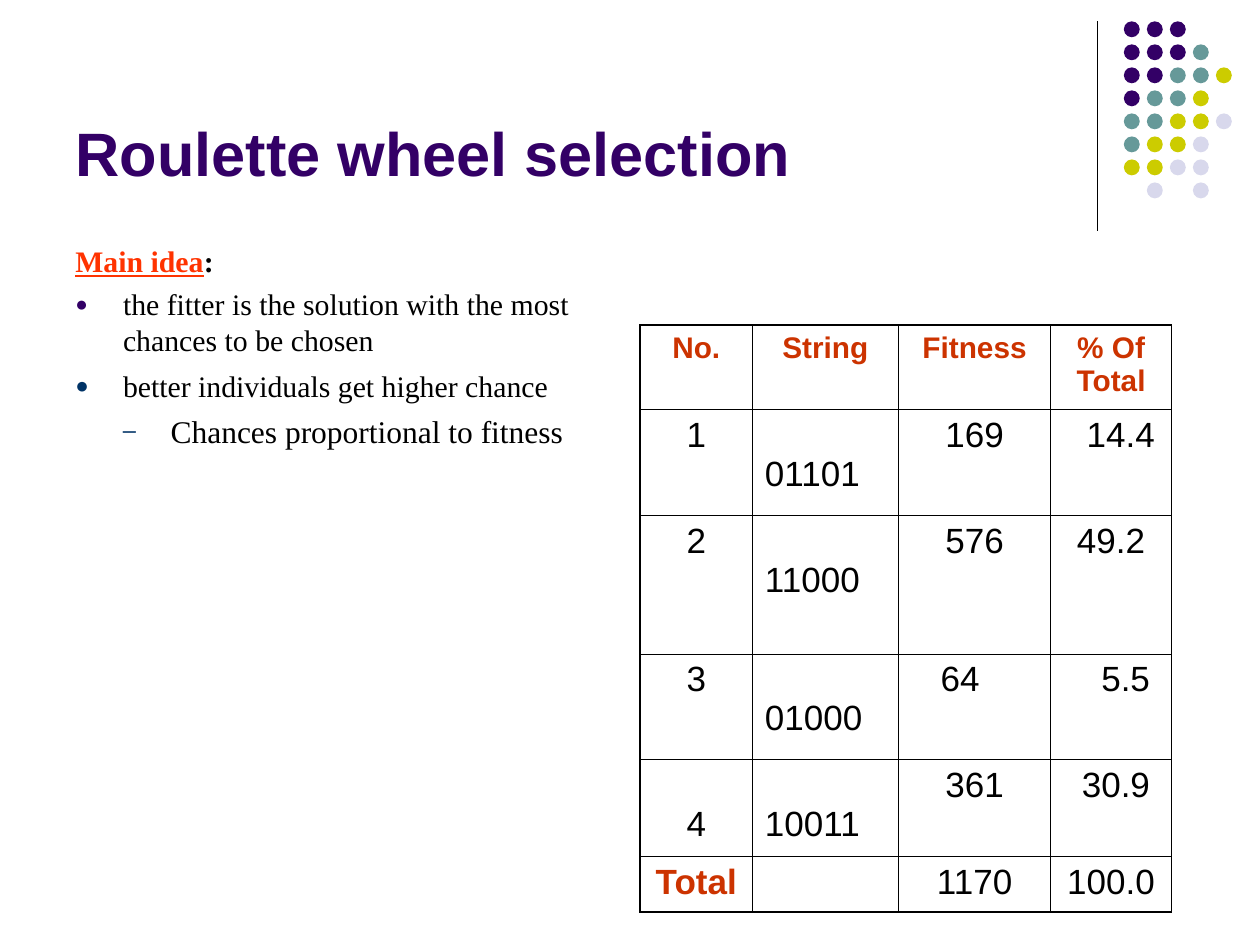
import dataclasses
import typing

import lxml.etree
import pptx
import pptx.dml.color
import pptx.enum.shapes
import pptx.enum.text
import pptx.oxml.ns
import pptx.util

Pt = pptx.util.Pt
qn = pptx.oxml.ns.qn
ALIGN = pptx.enum.text.PP_ALIGN
ANCHOR = pptx.enum.text.MSO_ANCHOR

HUES = {
    "purple": "330066", "teal": "669999", "lime": "CCCC00", "pale": "D8D8EC",
    "black": "000000", "red": "FF3300", "rust": "CC3300", "navy": "003366",
}
DOTS = ["PPP", "PPPT", "PPTTL", "PTTL", "TTLLG", "TLLG", "LLGG", " G G"]
DOT_HUES = {"P": "purple", "T": "teal", "L": "lime", "G": "pale"}
DOT_LEFT, DOT_TOP, DOT_STEP, DOT_SIZE = 642.2, 12.2, 13.15, 9.1

HEAD = {"name": "Arial", "size": Pt(17), "bold": True}
BODY = {"name": "Arial", "size": Pt(20), "bold": False}
TOTAL = {**BODY, "bold": True}
TEXT = {"name": "Times New Roman", "size": Pt(17), "bold": False}
LEAD = {**TEXT, "bold": True}

COLS = [64.1, 83.5, 87.1, 68.9]
ROWS = [48.2, 60.5, 79.2, 60.5, 55.4, 31.7]
PAD_X, PAD_Y = 7.2, 3.6
DROP = 22.3
SPACE = 5.56


@dataclasses.dataclass
class Point:
    text: str
    gap: float
    mark: str
    hue: str
    scale: int
    size: float = 17
    level: int = 0


@dataclasses.dataclass
class Entry:
    text: str
    left: float = 0
    right: float = 0
    top: float = 0
    align: typing.Any = ALIGN.CENTER
    form: dict = dataclasses.field(default_factory=lambda: BODY)
    hue: str = "black"


POINTS = [
    Point("the fitter is the solution with the most chances to be chosen", 4.2, "●", "purple", 70),
    Point("better individuals get higher chance", 6, "●", "navy", 75),
    Point("Chances proportional to fitness", 4.5, "–", "navy", 75, 18, 1),
]


def code(text: str) -> Entry:
    return Entry(text, top=DROP, align=ALIGN.LEFT)


GRID = [
    [Entry(text, form=HEAD, hue="rust") for text in ("No.", "String", "Fitness", "% Of Total")],
    [Entry("1"), code("01101"), Entry("169"), Entry("14.4", left=2 * SPACE)],
    [Entry("2"), code("11000"), Entry("576"), Entry("49.2")],
    [Entry("3"), code("01000"), Entry("64", right=3 * SPACE), Entry("5.5", left=3 * SPACE)],
    [Entry("4", top=DROP), code("10011"), Entry("361"), Entry("30.9", left=SPACE)],
    [Entry("Total", form=TOTAL, hue="rust"), Entry(""), Entry("1170"), Entry("100.0")],
]


def tint(name: str) -> pptx.dml.color.RGBColor:
    return pptx.dml.color.RGBColor.from_string(HUES[name])


def apply(item: typing.Any, form: dict) -> None:
    for key, value in form.items():
        setattr(item, key, value)


def add_run(para: typing.Any, text: str, form: dict, hue: str) -> None:
    run = para.add_run()
    run.text = text
    apply(run.font, form)
    run.font.color.rgb = tint(hue)


def add_node(root: typing.Any, tag: str, **attrs: str) -> typing.Any:
    return lxml.etree.SubElement(root, qn(tag), attrs)


def draw_dots(slide: typing.Any) -> None:
    group = slide.shapes.add_group_shape()
    for row, line in enumerate(DOTS):
        for col, key in enumerate(line):
            if key in DOT_HUES:
                dot = group.shapes.add_shape(
                    pptx.enum.shapes.MSO_SHAPE.OVAL,
                    Pt(DOT_LEFT + col * DOT_STEP), Pt(DOT_TOP + row * DOT_STEP),
                    Pt(DOT_SIZE), Pt(DOT_SIZE))
                dot.shadow.inherit = False
                dot.fill.solid()
                dot.fill.fore_color.rgb = tint(DOT_HUES[key])
                dot.line.fill.background()


def draw_rule(slide: typing.Any) -> None:
    rule = slide.shapes.add_connector(
        pptx.enum.shapes.MSO_CONNECTOR.STRAIGHT, Pt(627.1), Pt(12.2), Pt(627.1), Pt(131.8))
    rule.line.color.rgb = tint("black")
    rule.line.width = Pt(0.75)
    add_node(rule.element.spPr, "a:effectLst")


def draw_title(slide: typing.Any) -> None:
    title = slide.shapes.title
    apply(title, {"left": Pt(36), "top": Pt(9.4), "width": Pt(594), "height": Pt(102.2)})
    frame = title.text_frame
    apply(frame, {"auto_size": pptx.enum.text.MSO_AUTO_SIZE.NONE,
                  "vertical_anchor": ANCHOR.BOTTOM, "word_wrap": True})
    para = frame.paragraphs[0]
    para.alignment = ALIGN.LEFT
    add_run(para, "Roulette wheel selection", {**HEAD, "size": Pt(35)}, "purple")


def draw_point(frame: typing.Any, point: Point) -> None:
    para = frame.add_paragraph()
    props = para._p.get_or_add_pPr()
    props.set("marL", str(Pt(27.2 * (point.level + 1))))
    props.set("indent", str(Pt(-27.2)))
    add_node(add_node(props, "a:buClr"), "a:srgbClr", val=HUES[point.hue])
    add_node(props, "a:buSzPct", val=str(point.scale * 1000))
    add_node(props, "a:buFont", typeface="Arial")
    add_node(props, "a:buChar", char=point.mark)
    apply(para, {"level": point.level, "space_before": Pt(point.gap)})
    add_run(para, point.text, {**TEXT, "size": Pt(point.size)}, "black")


def draw_text(slide: typing.Any) -> None:
    box = slide.shapes.add_textbox(Pt(36), Pt(135.4), Pt(318.2), Pt(347))
    frame = box.text_frame
    frame.word_wrap = True
    lead = frame.paragraphs[0]
    add_run(lead, "Main idea", {**LEAD, "underline": True}, "red")
    add_run(lead, ":", LEAD, "black")
    for point in POINTS:
        draw_point(frame, point)


def draw_edge(cell: typing.Any, tag: str, outer: bool) -> None:
    edge = add_node(cell._tc.get_or_add_tcPr(), tag, w=str(Pt(1.08 if outer else 0.45)))
    add_node(add_node(edge, "a:solidFill"), "a:srgbClr", val=HUES["black"])


def draw_table(slide: typing.Any) -> None:
    table = slide.shapes.add_table(
        len(ROWS), len(COLS), Pt(365.8), Pt(185.8), Pt(sum(COLS)), Pt(sum(ROWS))).table
    apply(table, {"first_row": False, "horz_banding": False})
    for col, width in zip(table.columns, COLS):
        col.width = Pt(width)
    for row, height in zip(table.rows, ROWS):
        row.height = Pt(height)
    for r, line in enumerate(GRID):
        for c, entry in enumerate(line):
            cell = table.cell(r, c)
            draw_edge(cell, "a:lnL", c == 0)
            draw_edge(cell, "a:lnR", c == len(COLS) - 1)
            draw_edge(cell, "a:lnT", r == 0)
            draw_edge(cell, "a:lnB", r == len(ROWS) - 1)
            cell.fill.background()
            apply(cell, {"margin_left": Pt(PAD_X + entry.left),
                         "margin_right": Pt(PAD_X + entry.right),
                         "margin_top": Pt(PAD_Y + entry.top),
                         "margin_bottom": Pt(PAD_Y),
                         "vertical_anchor": ANCHOR.TOP})
            if entry.text:
                para = cell.text_frame.paragraphs[0]
                para.alignment = entry.align
                add_run(para, entry.text, entry.form, entry.hue)


def main() -> None:
    deck = pptx.Presentation()
    apply(deck, {"slide_width": Pt(720), "slide_height": Pt(540)})
    slide = deck.slides.add_slide(deck.slide_layouts[5])
    draw_rule(slide)
    draw_dots(slide)
    draw_title(slide)
    draw_text(slide)
    draw_table(slide)
    deck.save("out.pptx")


if __name__ == "__main__":
    main()
